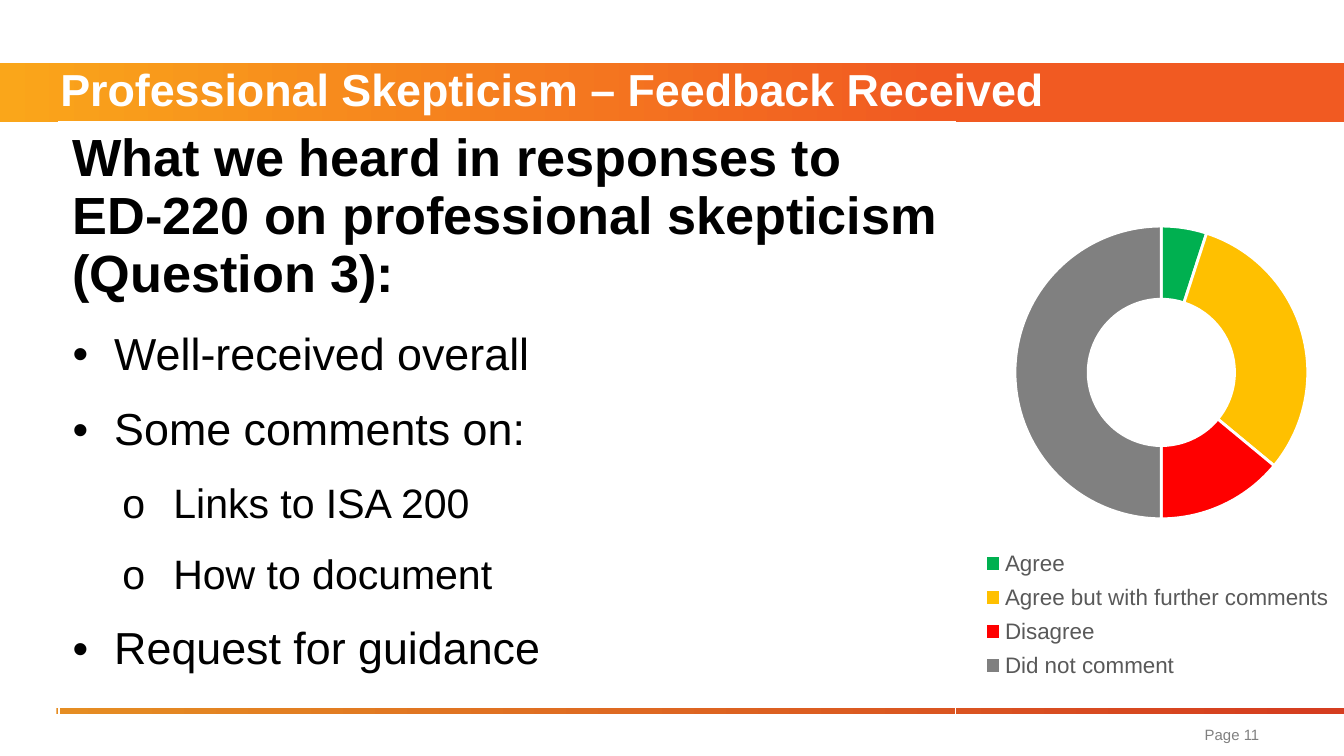
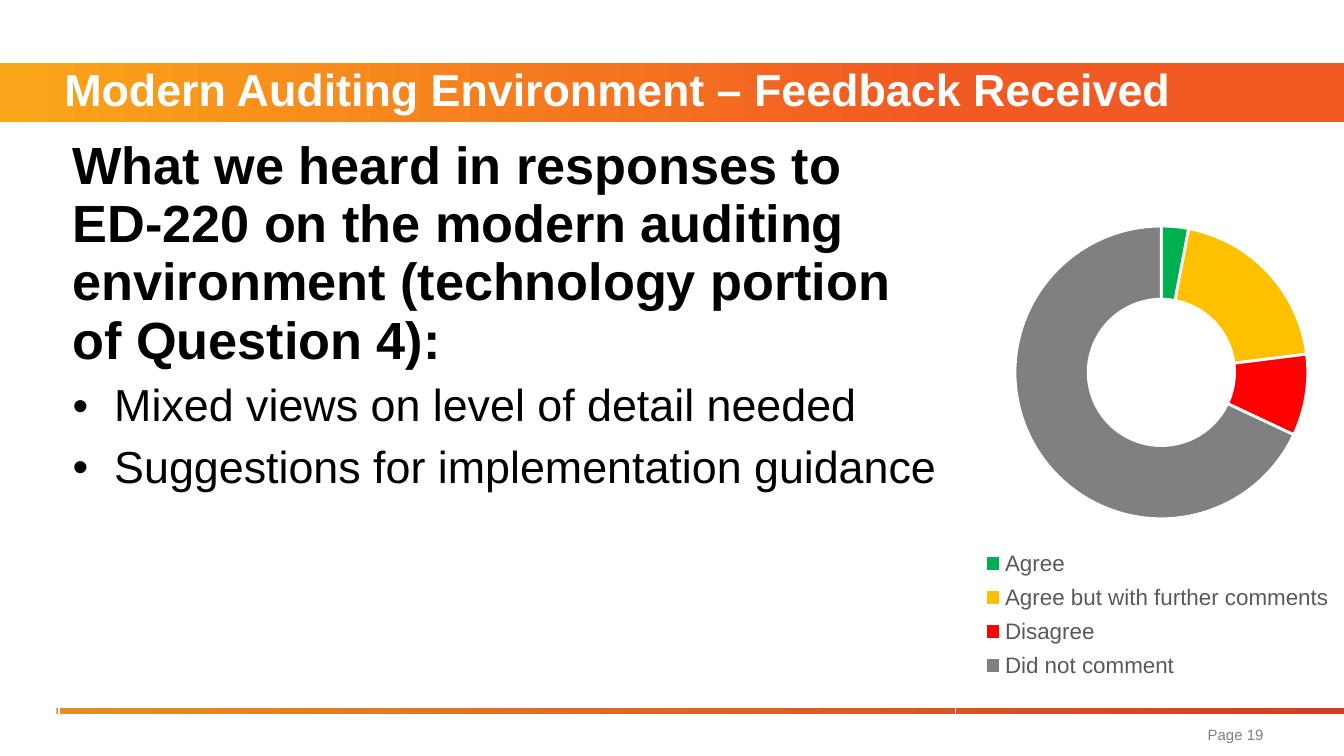
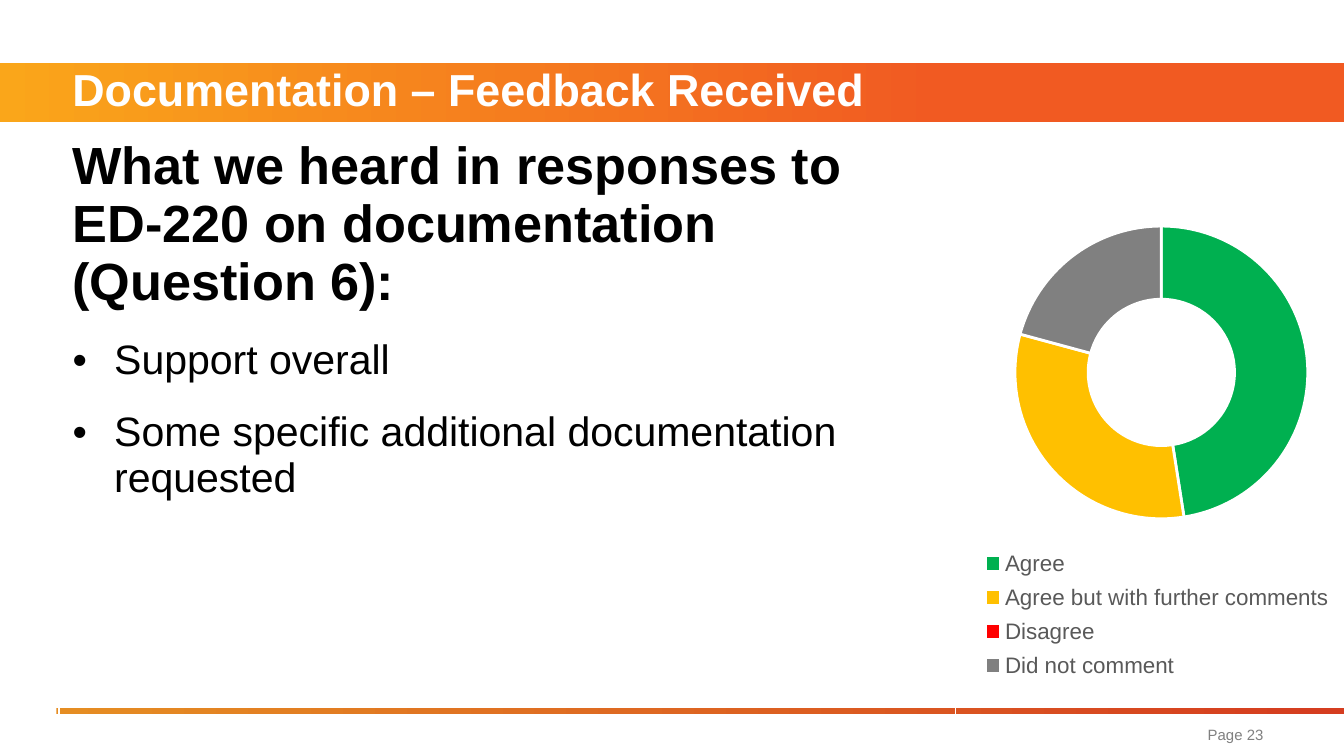
from lxml.etree import SubElement as Sub
from pptx import Presentation
from pptx.chart.data import CategoryChartData as Data
from pptx.dml.color import RGBColor
from pptx.enum.chart import XL_CHART_TYPE as Kind, XL_LEGEND_POSITION as Place
from pptx.enum.shapes import MSO_SHAPE as Shape
from pptx.enum.text import MSO_ANCHOR as Anchor, PP_ALIGN as Align
from pptx.oxml.ns import qn
from pptx.util import Inches, Pt

HUES = {
    "white": "FFFFFF", "black": "000000", "grey": "808080", "label": "595959",
    "amber": "FAA61A", "orange": "F15A22", "sand": "E58D23", "brick": "D53D20",
    "green": "00B050", "gold": "FFC000", "red": "FF0000",
}
FONT = "Arial"
WIDE = 10
VOTES = {
    "Agree": "green",
    "Agree but with further comments": "gold",
    "Disagree": "red",
    "Did not comment": "grey",
}
MARKS = [("•", 0.31, -0.31), ("o", 0.75, -0.38)]
EDGES = {"a:lnL": 1, "a:lnR": 1, "a:lnT": 1, "a:lnB": 3}
PLOT = {"x": 0.14, "y": 0.17, "w": 0.77, "h": 0.52}
KEY = {"x": 0.04, "y": 0.73, "w": 0.95, "h": 0.26}


def hue(name):
    return RGBColor.from_string(HUES[name])


def style(font, size, color, bold=False):
    font.name, font.size, font.bold = FONT, Pt(size), bold
    font.color.rgb = hue(color)


def add_run(para, text, size, color, bold=False):
    run = para.add_run()
    run.text = text
    style(run.font, size, color, bold)


def add_band(slide, box, stops):
    band = slide.shapes.add_shape(Shape.RECTANGLE, *map(Inches, box))
    band.shadow.inherit = False
    band.line.fill.background()
    band.fill.gradient()
    band.fill.gradient_angle = 0
    for stop, (spot, color) in zip(band.fill.gradient_stops, stops):
        stop.position = spot
        stop.color.rgb = hue(color)


def add_text(slide, box, text, size, color, bold=False):
    frame = slide.shapes.add_textbox(*map(Inches, box)).text_frame
    frame.word_wrap = True
    frame.vertical_anchor = Anchor.MIDDLE
    para = frame.paragraphs[0]
    add_run(para, text, size, color, bold)
    return para


def add_title(slide, left, text):
    para = add_text(slide, (left, 0.47, WIDE - left, 0.44), text, 24, "white", True)
    para.line_spacing = Pt(24)


def add_page(slide, text):
    para = add_text(slide, (6.48, 5.34, 3.02, 0.25), text, 8, "grey")
    para.alignment = Align.RIGHT


def set_edges(cell):
    props = cell._tc.get_or_add_tcPr()
    for tag, width in EDGES.items():
        line = Sub(props, qn(tag), w=str(Pt(width)))
        fill = Sub(line, qn("a:solidFill"))
        Sub(fill, qn("a:srgbClr"), val=HUES["white"])
    cell.fill.background()


def add_point(frame, text, level, size, gap):
    para = frame.add_paragraph()
    mark, left, hang = MARKS[level]
    props = para._p.get_or_add_pPr()
    props.set("marL", str(Inches(left)))
    props.set("indent", str(Inches(hang)))
    Sub(props, qn("a:buFont"), typeface=FONT)
    Sub(props, qn("a:buChar"), char=mark)
    para.level = level
    para.space_before, para.space_after = Pt(gap), Pt(6)
    add_run(para, text, size, "black")


def add_body(slide, top, high, head, points, gap):
    box = map(Inches, (0.44, top, 6.67, high))
    table = slide.shapes.add_table(1, 1, *box).table
    table.first_row = table.horz_banding = False
    cell = table.cell(0, 0)
    set_edges(cell)
    para = cell.text_frame.paragraphs[0]
    para.space_after = Pt(6)
    add_run(para, head, 28, "black", True)
    for text, level, size in points:
        add_point(cell.text_frame, text, level, size, gap)


def set_layout(part, spot, rules):
    for old in part.findall(qn("c:layout")):
        part.remove(old)
    layout = Sub(part, qn("c:layout"))
    part.insert(spot, layout)
    manual = Sub(layout, qn("c:manualLayout"))
    for tag, val in rules.items():
        Sub(manual, qn("c:" + tag), val=str(val))


def set_plot(chart):
    root = chart._chartSpace
    root.xpath(".//c:holeSize")[0].set("val", "75")
    edge = {"xMode": "edge", "yMode": "edge"}
    area = root.xpath(".//c:plotArea")[0]
    set_layout(area, 0, {"layoutTarget": "inner", **edge, **PLOT})
    key = root.xpath(".//c:legend")[0]
    set_layout(key, 1, {**edge, **KEY})


def add_ring(slide, vals):
    data = Data()
    data.categories = list(VOTES)
    data.add_series("Series 1", vals)
    box = map(Inches, (7.14, 0.97, 2.86, 4.19))
    chart = slide.shapes.add_chart(Kind.DOUGHNUT, *box, data).chart
    style(chart.font, 12, "black")
    chart.has_title = False
    chart.has_legend = True
    chart.legend.position = Place.BOTTOM
    chart.legend.include_in_layout = False
    style(chart.legend.font, 12, "label")
    plot = chart.plots[0]
    plot.vary_by_categories = True
    for num, color in enumerate(VOTES.values()):
        form = plot.series[0].points[num].format
        form.fill.solid()
        form.fill.fore_color.rgb = hue(color)
        form.line.color.rgb = hue("white")
        form.line.width = Pt(1.5)
    set_plot(chart)


def add_slide(deck, title, left, page, body, vals):
    slide = deck.slides.add_slide(deck.slide_layouts[6])
    add_band(slide, (0, 0.47, WIDE, 0.44), [(0, "amber"), (0.7, "orange")])
    add_band(slide, (0.42, 5.27, 9.58, 0.04), [(0, "sand"), (0.99, "brick")])
    add_body(slide, *body)
    add_title(slide, left, title + " – Feedback Received")
    add_page(slide, page)
    add_ring(slide, vals)


def main():
    deck = Presentation()
    deck.slide_width = Inches(WIDE)
    deck.slide_height = Inches(WIDE * 9 / 16)
    lead = "What we heard in responses to ED-220 on "

    points = [
        ("Well-received overall", 0, 24),
        ("Some comments on:", 0, 24),
        ("Links to ISA 200", 1, 22),
        ("How to document", 1, 22),
        ("Request for guidance", 0, 24),
    ]
    body = (0.91, 4.47, lead + "professional skepticism (Question 3):", points, 7.8)
    add_slide(deck, "Professional Skepticism", 0.35, "Page 11 ", body, (5, 31, 14, 50))

    points = [
        ("Mixed views on level of detail needed", 0, 24),
        ("Suggestions for implementation guidance", 0, 24),
    ]
    head = lead + "the modern auditing environment (technology portion of Question 4):"
    body = (0.97, 4.37, head, points, 0)
    add_slide(deck, "Modern Auditing Environment", 0.38, "Page 19", body, (3, 20, 9, 68))

    points = [
        ("Support overall", 0, 22),
        ("Some specific additional documentation requested", 0, 22),
    ]
    body = (0.97, 4.37, lead + "documentation (Question 6):", points, 7.8)
    add_slide(deck, "Documentation", 0.44, "Page 23", body, (48, 32, 0, 21))

    deck.save("out.pptx")


if __name__ == "__main__":
    main()
